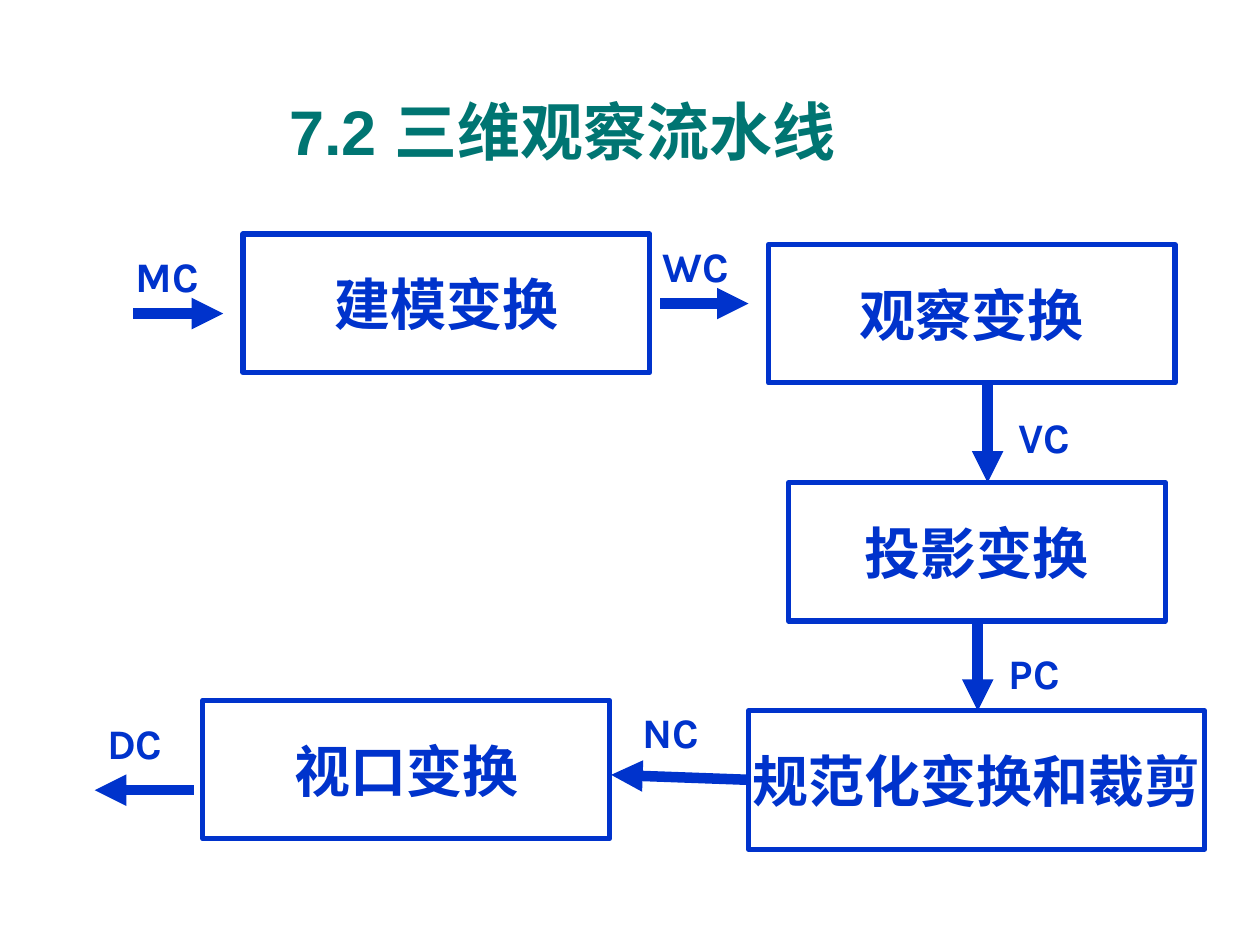
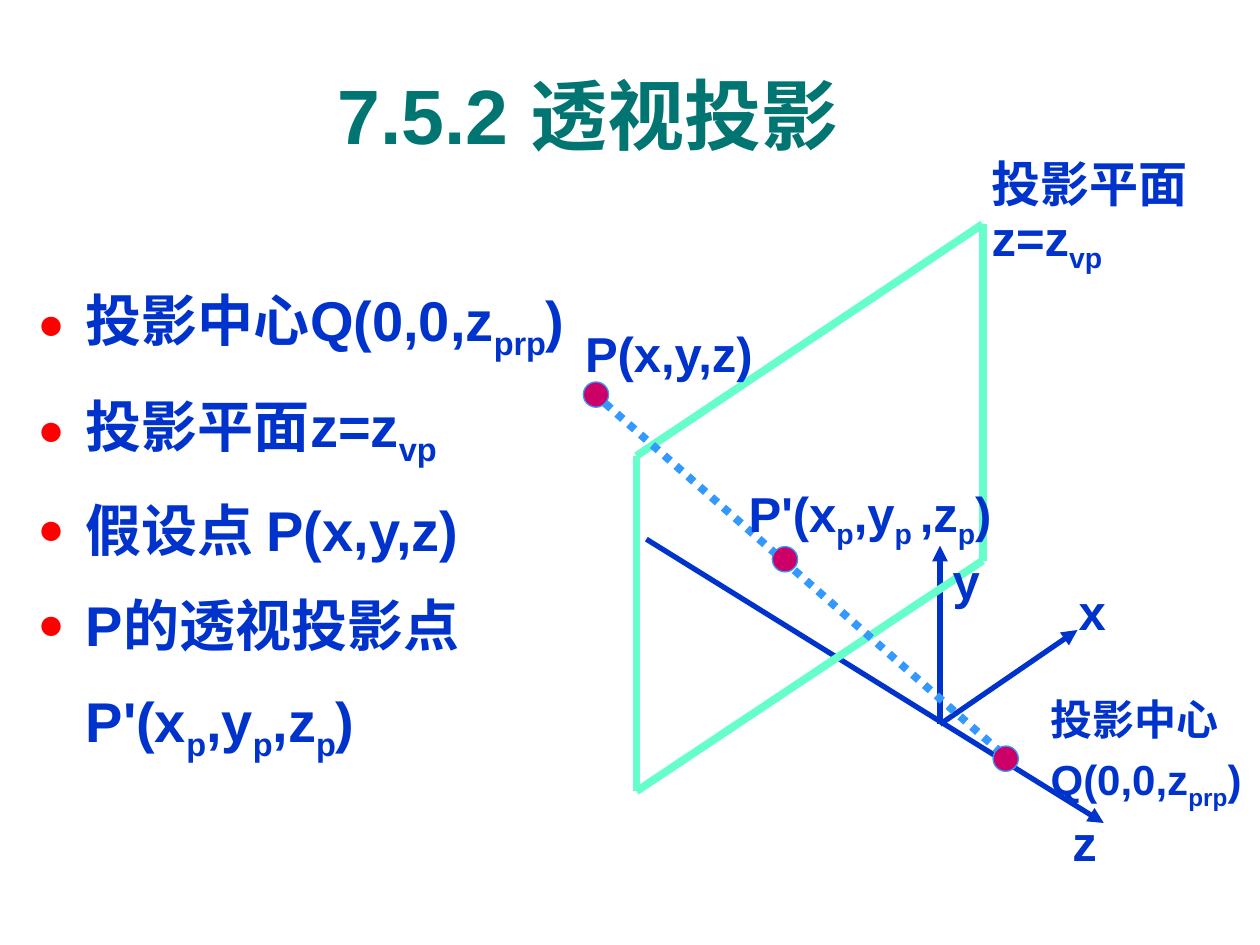
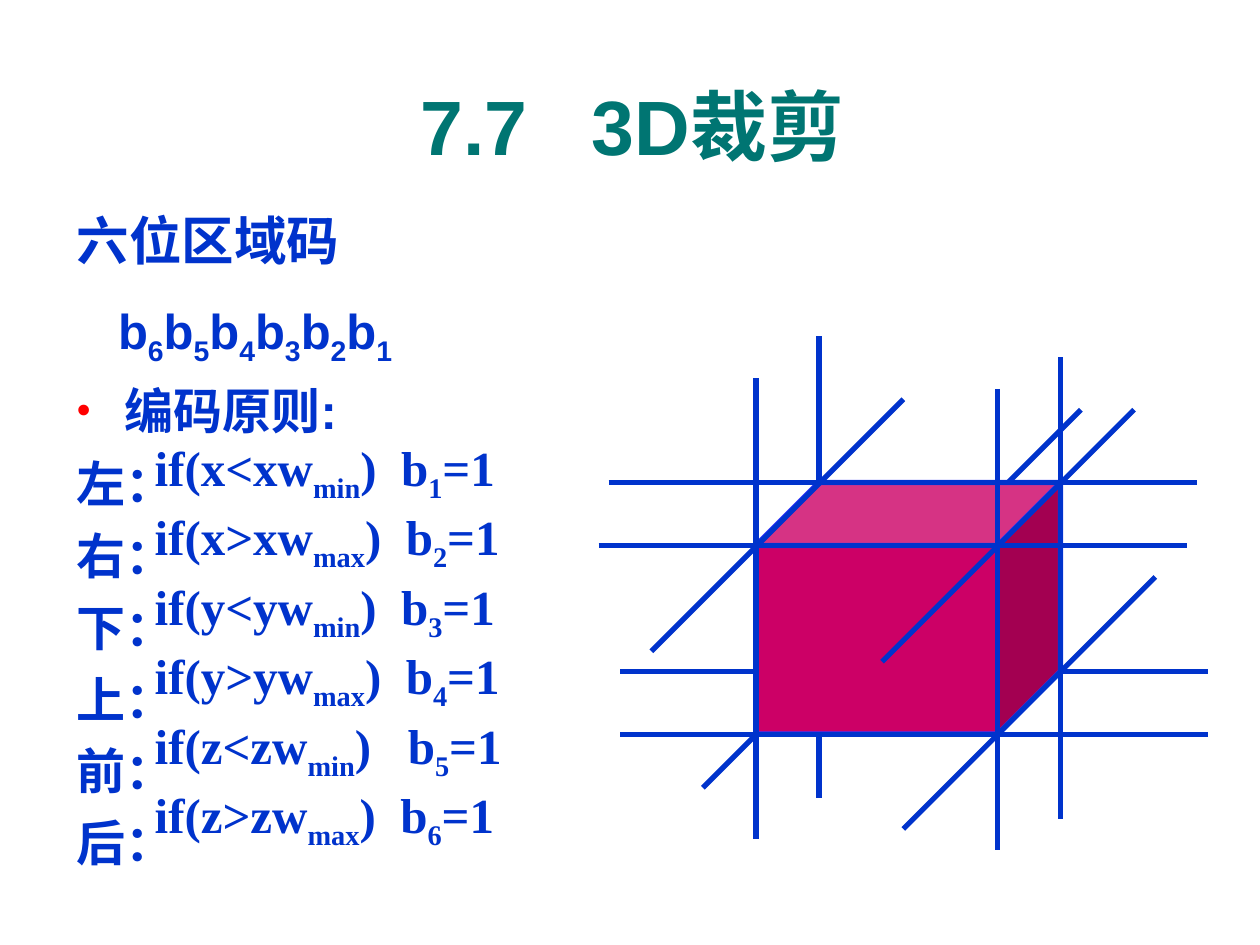
from lxml import etree
from pptx import Presentation
from pptx.dml.color import RGBColor
from pptx.enum.dml import MSO_LINE
from pptx.enum.shapes import MSO_CONNECTOR, MSO_SHAPE
from pptx.enum.text import MSO_ANCHOR, MSO_AUTO_SIZE, PP_ALIGN
from pptx.oxml import parse_xml
from pptx.oxml.ns import nsdecls, qn
from pptx.util import Cm, Pt

STRAIGHT = MSO_CONNECTOR.STRAIGHT
RECTANGLE, ELLIPSE, CUBE = MSO_SHAPE.RECTANGLE, MSO_SHAPE.OVAL, MSO_SHAPE.CUBE
DOTTED = MSO_LINE.ROUND_DOT
MIDDLE = MSO_ANCHOR.MIDDLE
GROW = MSO_AUTO_SIZE.SHAPE_TO_FIT_TEXT
LEFT, CENTER = PP_ALIGN.LEFT, PP_ALIGN.CENTER

COLORS = {
    "title": "007572",
    "blue": "0033CC",
    "bullet": "FF0000",
    "plane": "66FFCC",
    "ray": "3399FF",
    "magenta": "CC0066",
    "cube edge": "3333FF",
}

# Frame settings
WRAPPED = {"word_wrap": True}
TITLE_FRAME = {"word_wrap": True, "vertical_anchor": MIDDLE}
BOX_FRAME = {"word_wrap": False, "vertical_anchor": MIDDLE}
LABEL_FRAME = {"word_wrap": False, "vertical_anchor": MIDDLE, "auto_size": GROW,
               "margin_left": 0, "margin_right": 0, "margin_top": 0, "margin_bottom": 0}
NOTE_FRAME = {**LABEL_FRAME, "word_wrap": True}


def write(shape, lines, font, frame=WRAPPED, align=LEFT, color="blue"):
    """Fill a shape with (text, paragraph format) lines; _x_ marks a subscript x.

    The format keys "indent", "first" (both cm) and "bullet" set up lists,
    "size" overrides the font size; all others are paragraph attributes.
    """
    for name, value in frame.items():
        setattr(shape.text_frame, name, value)
    for number, (text, layout) in enumerate(lines):
        if number == 0:
            para = shape.text_frame.paragraphs[0]
        else:
            para = shape.text_frame.add_paragraph()
        layout = dict(layout)
        indent, first = layout.pop("indent", 0), layout.pop("first", 0)
        bullet = layout.pop("bullet", None)
        size = layout.pop("size", font["size"])
        para.alignment = align
        for name, value in layout.items():
            setattr(para, name, value)
        properties = para._p.get_or_add_pPr()
        properties.set("marL", str(Cm(indent)))
        properties.set("indent", str(Cm(first)))
        if bullet:
            for xml in (
                f'<a:buClr {nsdecls("a")}><a:srgbClr val="{COLORS["bullet"]}"/></a:buClr>',
                f'<a:buSzPct {nsdecls("a")} val="80000"/>',
                f'<a:buFont {nsdecls("a")} typeface="Arial"/>',
                f'<a:buChar {nsdecls("a")} char="{bullet}"/>',
            ):
                properties.append(parse_xml(xml))
        for position, part in enumerate(text.split("_")):
            if not part:
                continue
            span = para.add_run()
            span.text = part
            for name, value in {**font, "size": size}.items():
                setattr(span.font, name, value)
            span.font.color.rgb = RGBColor.from_string(COLORS[color])
            if position % 2:
                span._r.get_or_add_rPr().set("baseline", "-25000")


def add_line(page, start, end, color="blue", width=3, arrow=False):
    line = page.shapes.add_connector(STRAIGHT, *map(Cm, (*start, *end)))
    line.line.color.rgb = RGBColor.from_string(COLORS[color])
    line.line.width = Pt(width)
    etree.SubElement(line._element.spPr, qn("a:effectLst"))
    if arrow:
        head = etree.SubElement(line.line._get_or_add_ln(), qn("a:tailEnd"))
        head.set("type", "triangle")
    return line


deck = Presentation()
deck.slide_width, deck.slide_height = Cm(25.4), Cm(19.05)

pages = []
for text, size, place in (
    ("7.2 三维观察流水线", 36, (4.14, 1.73, 14.4, 1.78)),
    ("7.5.2 透视投影", 44, (0, 1.24, 23.72, 2.11)),
    ("7.7   3D裁剪", 44, (0.89, 1.45, 23.72, 2.11)),
):
    page = deck.slides.add_slide(deck.slide_layouts[6])
    title = page.shapes.add_textbox(*map(Cm, place))
    write(title, [(text, {})], {"name": "Arial", "size": Pt(size), "bold": True},
          TITLE_FRAME, CENTER, "title")
    pages.append(page)
pipeline, perspective, clipping = pages

# Viewing pipeline
step_font = {"name": "Karla", "size": Pt(32), "bold": True}
system_font = {"name": "Karla", "size": Pt(24), "bold": True}
for text, left, top, width in (
    ("建模变换", 4.9, 4.72, 8.2),
    ("观察变换", 15.49, 4.93, 8.2),
    ("投影变换", 15.9, 9.73, 7.59),
    ("规范化变换和裁剪", 15.09, 14.33, 9.19),
    ("视口变换", 4.09, 14.12, 8.2),
):
    step = pipeline.shapes.add_shape(RECTANGLE, *map(Cm, (left, top, width, 2.79)))
    step.shadow.inherit = False
    step.fill.background()
    step.line.color.rgb = RGBColor.from_string(COLORS["blue"])
    step.line.width = Pt(3)
    write(step, [(text, {})], step_font, BOX_FRAME, CENTER)

for text, corner, start, end in (
    ("MC", (2.49, 4.93), (2.69, 6.32), (4.5, 6.32)),
    ("WC", (13.11, 4.72), (13.31, 6.12), (15.09, 6.12)),
    ("VC", (20.29, 8.18), (19.91, 7.72), (19.91, 9.73)),
    ("PC", (20.09, 12.93), (19.71, 12.52), (19.71, 14.33)),
    ("NC", (12.7, 14.12), (15.09, 15.72), (12.32, 15.62)),
    ("DC", (1.91, 14.33), (3.91, 15.93), (1.91, 15.93)),
):
    add_line(pipeline, start, end, width=6, arrow=True)
    system = pipeline.shapes.add_textbox(*map(Cm, (*corner, 2, 1.27)))
    write(system, [(text, {})], system_font)

# Perspective projection
body_font = {"name": "Arial", "size": Pt(32), "bold": True}
label_font = {"name": "Arial", "size": Pt(28), "bold": True}
small_font = {"name": "Arial", "size": Pt(24), "bold": True}
item = {"indent": 0.97, "first": -0.97, "bullet": "●", "line_spacing": 1.2}
later_item = {**item, "space_before": Pt(8)}
body = perspective.shapes.add_textbox(*map(Cm, (0.51, 5.33, 11.4, 10.19)))
write(body, [
    ("投影中心Q(0,0,z_prp_)", item),
    ("投影平面z=z_vp_", later_item),
    ("假设点 P(x,y,z)", later_item),
    ("P的透视投影点", later_item),
    ("P'(x_p_,y_p_,z_p_)", {"indent": 0.97, "line_spacing": 1.2, "space_before": Pt(8)}),
], body_font)

origin = (18.95, 14.6)
for start, end in (
    (origin, (18.95, 11)),
    (origin, (21.72, 12.7)),
    ((13.03, 10.87), (22.25, 16.59)),
):
    add_line(perspective, start, end, arrow=True)

corners = [(12.83, 9.19), (19.81, 4.52), (19.81, 11.3), (12.83, 15.95)]
for start, end in zip(corners, corners[1:] + corners[:1]):
    add_line(perspective, start, end, "plane", 4.5)

ray = add_line(perspective, (11.96, 7.92), (20.35, 15.32), "ray", 4.5)
ray.line.dash_style = DOTTED

for left, top in ((11.76, 7.7), (15.57, 11.02), (20.02, 15.04)):
    point = perspective.shapes.add_shape(ELLIPSE, *map(Cm, (left, top, 0.51, 0.51)))
    point.shadow.inherit = False
    point.fill.solid()
    point.fill.fore_color.rgb = RGBColor.from_string(COLORS["magenta"])
    point.line.color.rgb = RGBColor.from_string(COLORS["ray"])
    point.line.width = Pt(0.75)

for text, place, layout in (
    ("x", (21.74, 11.73, 0.56, 1.19), {}),
    ("y", (19.2, 11.1, 0.56, 1.19), {}),
    ("z", (21.62, 16.38, 0.48, 1.19), {}),
    ("P(x,y,z)", (11.76, 6.53, 3.45, 1.19), {}),
    ("P'(x_p_,y_p _,z_p_)", (15.09, 9.47, 4.9, 1.63), {"line_spacing": 1.2}),
):
    label = perspective.shapes.add_textbox(*map(Cm, place))
    write(label, [(text, layout)], label_font, LABEL_FRAME, CENTER)

for name, formula, place, font, gap, leading in (
    ("投影中心", "Q(0,0,z_prp_)", (21.18, 14.35, 4.2, 1.83), small_font, 15, 0.6),
    ("投影平面", "z=z_vp_", (19.99, 3.51, 5, 1.75), label_font, 17.5, 0.3),
):
    note = perspective.shapes.add_textbox(*map(Cm, place))
    write(note, [
        (name, {"line_spacing": 0.6}),
        (formula, {"line_spacing": leading, "space_before": Pt(gap)}),
    ], font, NOTE_FRAME)

# 3D clipping
across, down, toward = (11.85, 0), (0, 9.3), (-5.08, 5.08)
hidden_edges = [
    ((16.51, 6.78), down),
    ((21.79, 8.26), (-7.62, 7.62)),
    ((12.5, 13.54), across),
]
visible_edges = [
    ((12.07, 11), across),
    ((12.5, 14.81), across),
    ((12.27, 9.73), across),
    ((22.86, 8.26), toward),
    ((18.21, 8.05), toward),
    ((23.29, 11.63), toward),
    ((15.24, 7.62), down),
    ((20.11, 7.84), down),
    ((21.38, 7.2), down),
]
for (x, y), (run, rise) in hidden_edges:
    add_line(clipping, (x, y), (x + run, y + rise))

volume = clipping.shapes.add_shape(CUBE, *map(Cm, (15.24, 9.73, 6.14, 5.07)))
volume.shadow.inherit = False
volume.adjustments[0] = 0.25
volume.fill.solid()
volume.fill.fore_color.rgb = RGBColor.from_string(COLORS["magenta"])
volume.line.color.rgb = RGBColor.from_string(COLORS["cube edge"])
volume.line.width = Pt(3)

for (x, y), (run, rise) in visible_edges:
    add_line(clipping, (x, y), (x + run, y + rise))

spaced = {"space_before": Pt(17.5)}
side = {**spaced, "line_spacing": 0.7}
codes = clipping.shapes.add_textbox(*map(Cm, (1.3, 3.81, 8.43, 13.87)))
write(codes, [
    ("六位区域码", {"size": Pt(30), "line_spacing": 1.2}),
    ("b_6_b_5_b_4_b_3_b_2_b_1_", {**spaced, "indent": 0.83, "line_spacing": 0.9}),
    ("编码原则:", {**spaced, "indent": 0.97, "first": -0.97, "bullet": "•",
               "line_spacing": 0.8}),
    *((f"{name}：", side) for name in "左右下上前后"),
], label_font)

test_font = {"name": "Times New Roman", "size": Pt(28), "bold": True}
for row, test in enumerate((
    "if(x<xw_min_)  b_1_=1",
    "if(x>xw_max_)  b_2_=1",
    "if(y<yw_min_)  b_3_=1",
    "if(y>yw_max_)  b_4_=1",
    "if(z<zw_min_)   b_5_=1",
    "if(z>zw_max_)  b_6_=1",
)):
    box = clipping.shapes.add_textbox(*map(Cm, (2.87, 8.69 + 1.4 * row, 7.8, 1.6)))
    write(box, [(test, {})], test_font)

deck.save("out.pptx")
